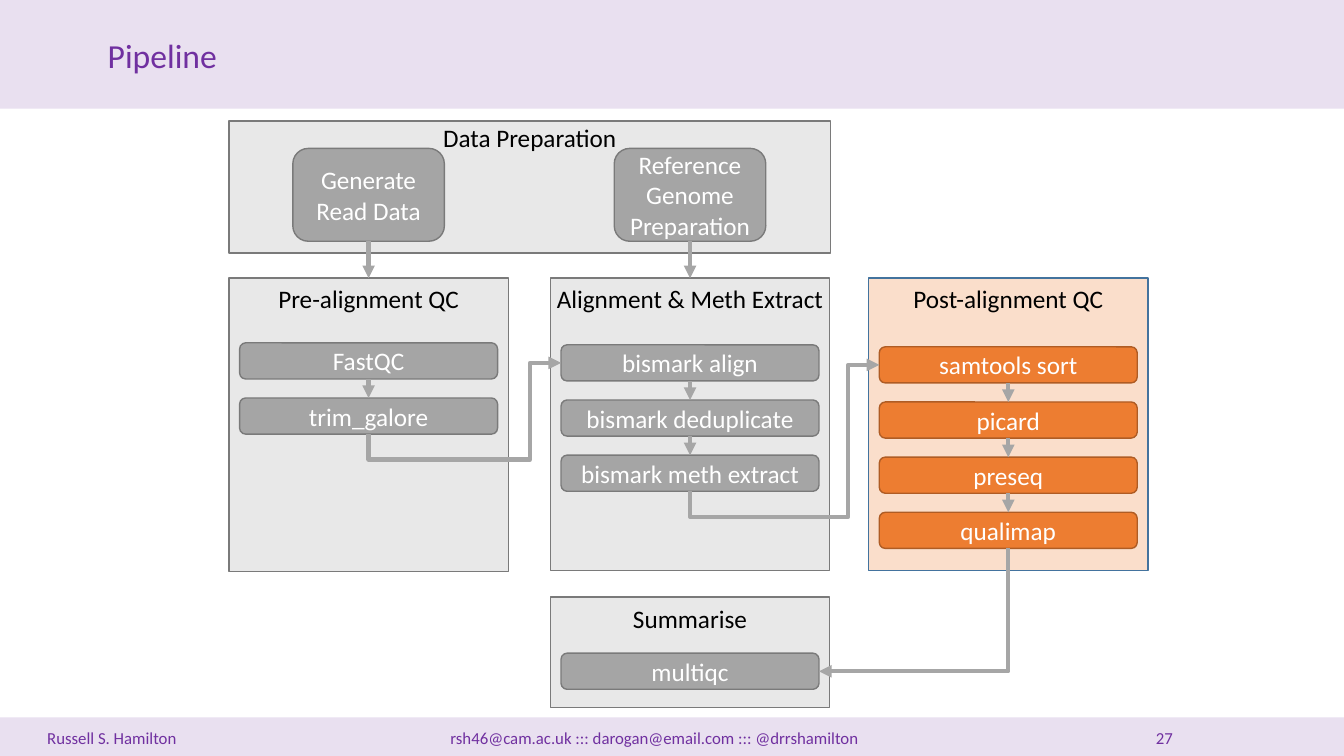
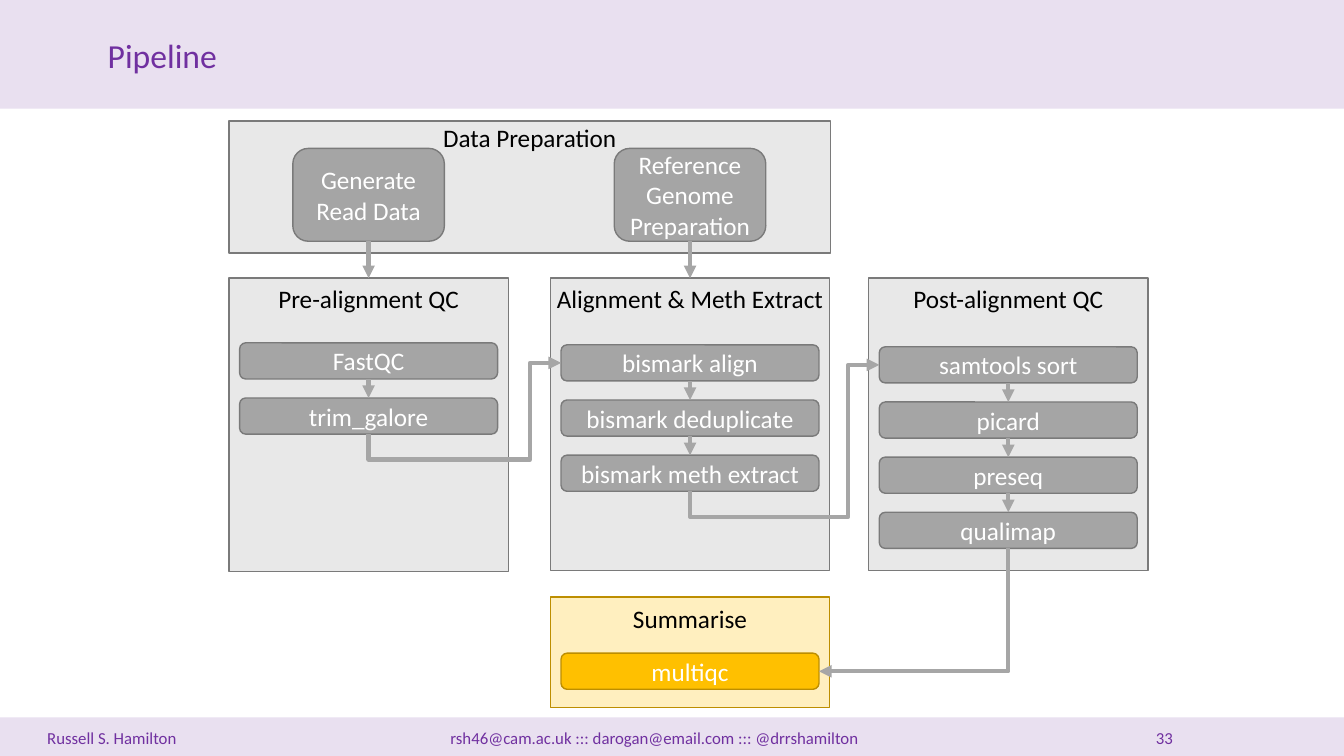
from itertools import pairwise

from pptx import Presentation
from pptx.dml.color import RGBColor
from pptx.enum.dml import MSO_FILL
from pptx.enum.shapes import MSO_CONNECTOR, MSO_SHAPE
from pptx.enum.text import MSO_ANCHOR, MSO_AUTO_SIZE, PP_ALIGN
from pptx.oxml.ns import qn
from pptx.oxml.xmlchemy import OxmlElement
from pptx.util import Cm, Pt

RECTANGLE, ROUNDED = MSO_SHAPE.RECTANGLE, MSO_SHAPE.ROUNDED_RECTANGLE
STRAIGHT, ELBOW = MSO_CONNECTOR.STRAIGHT, MSO_CONNECTOR.ELBOW
CENTER, LEFT = PP_ALIGN.CENTER, PP_ALIGN.LEFT
TOP, LEFT_SIDE, BOTTOM, RIGHT_SIDE = range(4)

FONT = "Calibri"
COLORS = {"purple": "7030A0", "white": "FFFFFF", "black": "000000", "arrow": "A6A6A6"}
# name: (fill, step outline, panel outline)
SCHEMES = {
    "gray": ("A5A5A5", "7A7A7A", "7A7A7A"),
    "orange": ("ED7D31", "AF5C24", "43739E"),
    "gold": ("FFC000", "BD8E00", "BD8E00"),
}

TITLE = "Pipeline"
AUTHOR = "Russell S. Hamilton"
CONTACT = "rsh46@cam.ac.uk ::: darogan@email.com ::: @drrshamilton"
SLIDES = [
    {"number": 27, "highlight": {"Post-alignment QC": "orange"}},
    {"number": 33, "highlight": {"Summarise": "gold"}},
]

# Lengths in centimetres
SLIDE_WIDTH, SLIDE_HEIGHT = 33.87, 19.05
HEADER_HEIGHT, FOOTER_TOP = 2.74, 18.08
FOOTER_TABS = (10.16, 27.94)
STEP_WIDTH, STEP_HEIGHT, STEP_PITCH = 6.5, 0.91, 1.39
SOURCE_WIDTH, SOURCE_HEIGHT, SOURCE_TOP = 3.82, 2.34, 3.74
LABEL_HEIGHT = 1.02
ELBOW_DROP, ELBOW_TURN = 0.64, 0.78

PREPARATION = "Data Preparation"
PANELS = {
    PREPARATION: {"box": (5.77, 3.05, 15.16, 3.33), "label": (2.97, 4.93)},
    "Summarise": {"box": (13.87, 15.04, 7.04, 2.79), "label": (15.09, 3.4),
                  "steps": ["multiqc"], "steps_top": 16.46},
    "Post-alignment QC": {"box": (21.89, 7.01, 7.04, 7.37), "label": (7.01, 5.33),
                          "steps": ["samtools sort", "picard", "preseq", "qualimap"],
                          "steps_top": 8.74},
    "Alignment & Meth Extract": {"box": (13.87, 7.01, 7.04, 7.37), "label": (7.01, 7.29),
                                 "steps": ["bismark align", "bismark deduplicate",
                                           "bismark meth extract"],
                                 "steps_top": 8.69},
    "Pre-alignment QC": {"box": (5.77, 7.01, 7.04, 7.39), "label": (7.01, 5.1),
                         "steps": ["FastQC", "trim_galore"], "steps_top": 8.64},
}
# Each source box sits above the panel it feeds
SOURCES = {
    "Reference Genome Preparation": "Alignment & Meth Extract",
    "Generate Read Data": "Pre-alignment QC",
}
HANDOVERS = [
    ("trim_galore", "bismark align", LEFT_SIDE),
    ("bismark meth extract", "samtools sort", LEFT_SIDE),
    ("qualimap", "multiqc", RIGHT_SIDE),
]


def format_paragraph(paragraph, size, color, alignment):
    paragraph.alignment = alignment
    for run in paragraph.runs:
        run.font.name = FONT
        run.font.size = Pt(size)
        run.font.color.rgb = RGBColor.from_string(COLORS[color])


def add_box(slide, kind, box, fill, outline=None, opacity=None):
    """Add a filled shape; opacity is a percentage."""
    shape = slide.shapes.add_shape(kind, *map(Cm, box))
    shape.shadow.inherit = False
    shape.fill.solid()
    shape.fill.fore_color.rgb = RGBColor.from_string(fill)
    if opacity:
        alpha = OxmlElement("a:alpha")
        alpha.set("val", str(opacity * 1000))
        shape._element.spPr.find(".//" + qn("a:srgbClr")).append(alpha)
    if outline:
        shape.line.color.rgb = RGBColor.from_string(outline)
        shape.line.width = Pt(1)
    else:
        shape.line.fill.background()
    return shape


def add_text(slide, box, text, size, color, alignment, wrap):
    text_box = slide.shapes.add_textbox(*map(Cm, box))
    frame = text_box.text_frame
    frame.word_wrap = wrap
    frame.auto_size = MSO_AUTO_SIZE.SHAPE_TO_FIT_TEXT
    frame.text = text
    return frame.paragraphs[0], (size, color, alignment)


def add_frame(slide, number):
    """Add the bands, title and footer that every slide has."""
    bands = [(0, HEADER_HEIGHT), (FOOTER_TOP, SLIDE_HEIGHT - FOOTER_TOP)]
    for top, height in bands:
        band = add_box(slide, RECTANGLE, (0, top, SLIDE_WIDTH, height),
                       COLORS["purple"], opacity=15)
        slide.shapes._spTree.insert(2, band._element)

    title = slide.shapes.title
    title.left, title.top, title.width, title.height = map(Cm, (2.46, 0.74, 3.3, 1.27))
    title.text_frame.text = TITLE
    title.text_frame.word_wrap = False
    title.text_frame.auto_size = MSO_AUTO_SIZE.NONE
    title.text_frame.vertical_anchor = MSO_ANCHOR.MIDDLE
    format_paragraph(title.text_frame.paragraphs[0], 24, "purple", LEFT)

    paragraph, style = add_text(slide, (0.94, 18.21, 31.39, 0.76),
                                f"{AUTHOR}\t{CONTACT}\t{number}", 12, "purple", LEFT, True)
    tab_list = OxmlElement("a:tabLst")
    for position in FOOTER_TABS:
        tab = OxmlElement("a:tab")
        tab.set("pos", str(Cm(position)))
        tab.set("algn", "l")
        tab_list.append(tab)
    paragraph._p.get_or_add_pPr().append(tab_list)
    format_paragraph(paragraph, *style)


def center_of(panel_name):
    left, _, width, _ = PANELS[panel_name]["box"]
    return left + width / 2


def add_step(slide, text, center, top, width, height, scheme):
    fill, outline, _ = SCHEMES[scheme]
    step = add_box(slide, ROUNDED, (center - width / 2, top, width, height), fill, outline)
    frame = step.text_frame
    frame.word_wrap = True
    frame.vertical_anchor = MSO_ANCHOR.MIDDLE
    frame.text = text
    format_paragraph(frame.paragraphs[0], 18, "white", CENTER)
    return step


def add_arrow(slide, start, end, kind=STRAIGHT, end_side=TOP):
    """Join the bottom of start to a side of end."""
    arrow = slide.shapes.add_connector(kind, 0, 0, 0, 0)
    arrow.begin_connect(start, BOTTOM)
    arrow.end_connect(end, end_side)
    arrow.line.color.rgb = RGBColor.from_string(COLORS["arrow"])
    arrow.line.width = Pt(3)
    head = OxmlElement("a:tailEnd")
    head.set("type", "triangle")
    arrow.line._get_or_add_ln().append(head)
    arrow._element.spPr.append(OxmlElement("a:effectLst"))
    return arrow


def add_elbow(slide, start, end, end_side):
    """Bend an arrow that leaves downwards and enters end from one side."""
    arrow = add_arrow(slide, start, end, ELBOW, end_side)
    across, down = arrow.width, arrow.height
    center_x, center_y = arrow.left + across // 2, arrow.top + down // 2
    enters_left = end_side == LEFT_SIDE

    # The frame is turned by 90 degrees, so its sides swap
    arrow.left, arrow.top = center_x - down // 2, center_y - across // 2
    arrow.width, arrow.height = down, across
    properties = arrow._element.spPr
    frame = properties.find(qn("a:xfrm"))
    frame.set("rot", "5400000")
    for flip in ("flipH", "flipV"):
        frame.set(flip, str(int(enters_left)))

    geometry = properties.find(qn("a:prstGeom"))
    geometry.set("prst", "bentConnector4" if enters_left else "bentConnector2")
    if enters_left:
        bends = (-Cm(ELBOW_DROP) / down, 1 - Cm(ELBOW_TURN) / across)
        for index, bend in enumerate(bends, start=1):
            guide = OxmlElement("a:gd")
            guide.set("name", f"adj{index}")
            guide.set("fmla", f"val {round(bend * 100000)}")
            geometry.find(qn("a:avLst")).append(guide)


def add_pipeline(slide, highlight):
    panels, steps = {}, {}
    for name, panel in PANELS.items():
        fill, _, outline = SCHEMES[highlight.get(name, "gray")]
        panels[name] = add_box(slide, RECTANGLE, panel["box"], fill, outline, opacity=25)

    for text, target in SOURCES.items():
        steps[text] = add_step(slide, text, center_of(target), SOURCE_TOP, SOURCE_WIDTH,
                               SOURCE_HEIGHT, highlight.get(PREPARATION, "gray"))
    for name, panel in PANELS.items():
        for index, text in enumerate(panel.get("steps", [])):
            top = panel["steps_top"] + index * STEP_PITCH
            steps[text] = add_step(slide, text, center_of(name), top, STEP_WIDTH,
                                   STEP_HEIGHT, highlight.get(name, "gray"))

    for panel in PANELS.values():
        for upper, lower in pairwise(panel.get("steps", [])):
            add_arrow(slide, steps[upper], steps[lower])
    for start, end, side in HANDOVERS:
        add_elbow(slide, steps[start], steps[end], side)

    for name, panel in PANELS.items():
        top, width = panel["label"]
        box = (center_of(name) - width / 2, top, width, LABEL_HEIGHT)
        paragraph, style = add_text(slide, box, name, 18, "black", CENTER, False)
        format_paragraph(paragraph, *style)
    for text, target in SOURCES.items():
        add_arrow(slide, steps[text], panels[target])


def main():
    presentation = Presentation()
    presentation.slide_width = Cm(SLIDE_WIDTH)
    presentation.slide_height = Cm(SLIDE_HEIGHT)
    title_only = presentation.slide_layouts[5]
    for content in SLIDES:
        slide = presentation.slides.add_slide(title_only)
        add_frame(slide, content["number"])
        add_pipeline(slide, content["highlight"])
    presentation.save("out.pptx")


if __name__ == "__main__":
    main()
